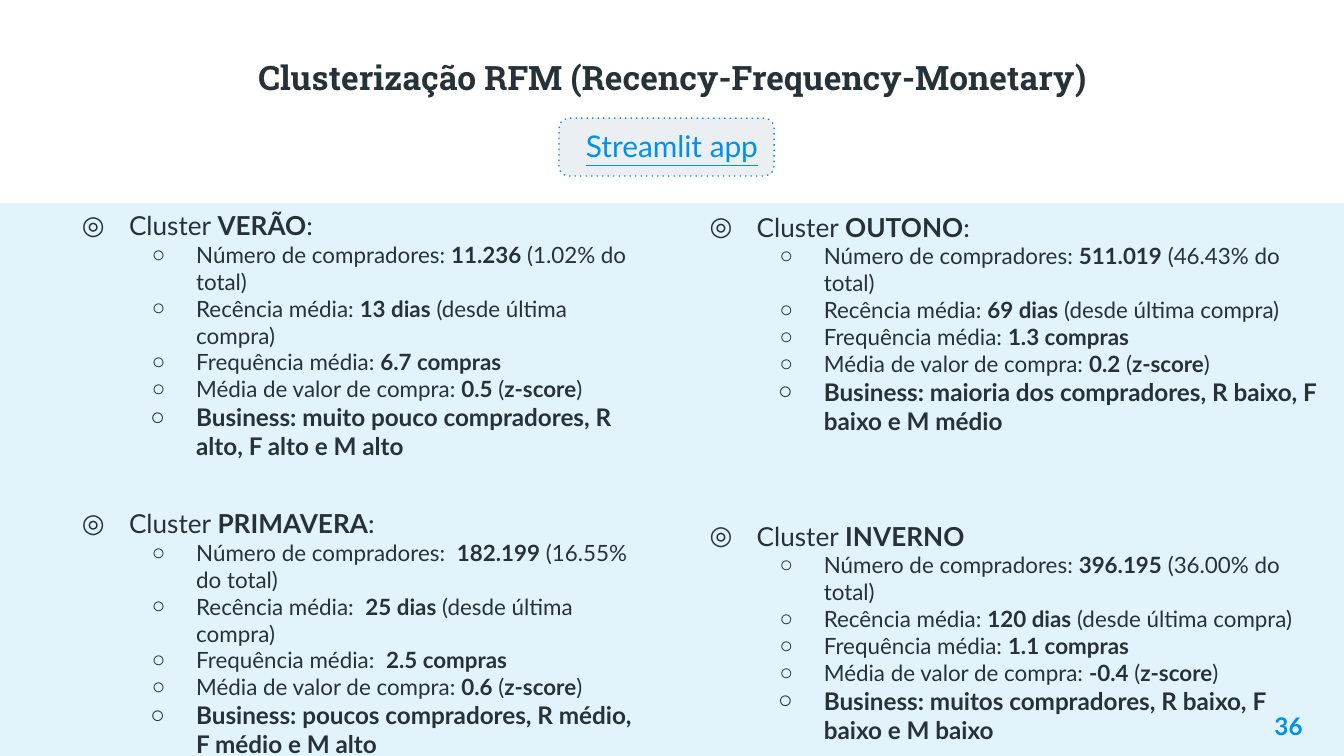
from dataclasses import dataclass

from lxml import etree
from pptx import Presentation
from pptx import util as u
from pptx.dml import color
from pptx.enum import dml, shapes, text
from pptx.oxml import ns


@dataclass(frozen=True)
class Theme:
    ink: str = "263238"
    accent: str = "0091EA"
    band: str = "ACDBF8"
    button: str = "ECEFF1"
    heading_font: str = "Roboto Slab"
    body_font: str = "Lato"
    title_size: float = 18
    button_size: float = 16
    cluster_size: float = 14
    business_size: float = 13
    detail_size: float = 12
    number_size: float = 13


THEME = Theme()
TWO_CONTENT = 3
LEFT_CLUSTERS = [
    ("Cluster **VERÃO**:", [
        "Número de compradores: **11.236** (1.02% do total)",
        "Recência média: **13 dias** (desde última compra)",
        "Frequência média: **6.7 compras**",
        "Média de valor de compra: **0.5** (**z-score**)",
    ], "Business: muito pouco compradores, R alto, F alto e M alto"),
    ("Cluster **PRIMAVERA**:", [
        "Número de compradores:  **182.199** (16.55% do total)",
        "Recência média:  **25 dias** (desde última compra)",
        "Frequência média:  **2.5 compras**",
        "Média de valor de compra: **0.6** (**z-score**)",
    ], "Business: poucos compradores, R médio, F médio e M alto"),
]
RIGHT_CLUSTERS = [
    ("Cluster **OUTONO**:", [
        "Número de compradores: **511.019** (46.43% do total)",
        "Recência média: **69 dias** (desde última compra)",
        "Frequência média: **1.3 compras**",
        "Média de valor de compra: **0.2** (**z-score**)",
    ], "Business: maioria dos compradores, R baixo, F baixo e M médio"),
    ("Cluster **INVERNO**", [
        "Número de compradores: **396.195** (36.00% do total)",
        "Recência média: **120 dias** (desde última compra)",
        "Frequência média: **1.1 compras**",
        "Média de valor de compra: **-0.4** (**z-score**)",
    ], "Business: muitos compradores, R baixo, F baixo e M baixo"),
]


def rgb(value):
    return color.RGBColor.from_string(value)


def place(shape, box):
    shape.left, shape.top, shape.width, shape.height = map(u.Inches, box)


def set_frame(shape, inset=0.05, anchor=text.MSO_ANCHOR.TOP):
    frame = shape.text_frame
    frame.word_wrap = True
    frame.auto_size = text.MSO_AUTO_SIZE.NONE
    frame.vertical_anchor = anchor
    frame.margin_left = frame.margin_right = u.Inches(0.1)
    frame.margin_top = frame.margin_bottom = u.Inches(inset)
    return frame


def write(para, content, size, ink=THEME.ink, font=THEME.body_font,
          align=text.PP_ALIGN.LEFT, before=0, underline=None):
    para.alignment = align
    para.space_before = u.Pt(before)
    for index, part in enumerate(content.split("**")):
        if not part:
            continue
        span = para.add_run()
        span.text = part
        span.font.name = font
        span.font.size = u.Pt(size)
        span.font.bold = index % 2 == 1
        span.font.underline = underline
        span.font.color.rgb = rgb(ink)


def add_bullet(para, symbol, margin, hang):
    props = para._p.get_or_add_pPr()
    props.set("marL", str(u.Inches(margin)))
    props.set("indent", str(-u.Inches(hang)))
    tint = etree.SubElement(props, ns.qn("a:buClr"))
    etree.SubElement(tint, ns.qn("a:srgbClr"), val=THEME.ink)
    etree.SubElement(props, ns.qn("a:buChar"), char=symbol)


def add_panel(page, kind, box, fill):
    panel = page.shapes.add_shape(kind, *map(u.Inches, box))
    panel.shadow.inherit = False
    panel.fill.solid()
    panel.fill.fore_color.rgb = rgb(fill)
    panel.line.fill.background()
    return panel


def add_title(page, box):
    title = page.shapes.title
    place(title, box)
    frame = set_frame(title, anchor=text.MSO_ANCHOR.BOTTOM)
    write(frame.paragraphs[0], "**Clusterização RFM (Recency-Frequency-Monetary)**",
          THEME.title_size, font=THEME.heading_font, align=text.PP_ALIGN.CENTER)


def add_band(page, box):
    band = add_panel(page, shapes.MSO_SHAPE.RECTANGLE, box, THEME.band)
    tint = band.element.find(".//" + ns.qn("a:srgbClr"))
    etree.SubElement(tint, ns.qn("a:alpha"), val="33000")
    page.shapes.title.element.addprevious(band.element)


def add_label(page, box, content, size, **style):
    label = page.shapes.add_textbox(*map(u.Inches, box))
    frame = set_frame(label, inset=0.1)
    write(frame.paragraphs[0], content, size, ink=THEME.accent, **style)


def add_button(page, box):
    left, top, width, height = box
    button = add_panel(page, shapes.MSO_SHAPE.ROUNDED_RECTANGLE, box, THEME.button)
    button.adjustments[0] = 0.17
    button.line.color.rgb = rgb(THEME.accent)
    button.line.width = u.Pt(0.75)
    button.line.dash_style = dml.MSO_LINE.ROUND_DOT
    button.element.find(".//" + ns.qn("a:prstDash")).set("val", "dot")
    add_label(page, (left - 0.07, top - 0.03, width + 0.22, height + 0.04), "Streamlit app",
              THEME.button_size, align=text.PP_ALIGN.CENTER, underline=True)


def add_clusters(holder, box, clusters, gap):
    place(holder, box)
    frame = set_frame(holder)
    para = frame.paragraphs[0]
    for index, (name, details, business) in enumerate(clusters):
        if index:
            para = frame.add_paragraph()
        add_bullet(para, "◎", 0.5, 0.35)
        write(para, name, THEME.cluster_size, before=gap if index else 0)
        rows = [(detail, THEME.detail_size, 0.33) for detail in details]
        rows.append((f"**{business}**", THEME.business_size, 0.34))
        for content, size, hang in rows:
            para = frame.add_paragraph()
            para.level = 1
            add_bullet(para, "○", 1, hang)
            write(para, content, size)


def main():
    deck = Presentation()
    deck.slide_width = u.Inches(10)
    deck.slide_height = deck.slide_width * 9 // 16
    page = deck.slides.add_slide(deck.slide_layouts[TWO_CONTENT])
    add_title(page, (0.88, 0.34, 8.25, 0.43))
    add_band(page, (0, 1.51, 10, 4.16))
    add_button(page, (4.16, 0.88, 1.6, 0.43))
    left_holder, right_holder = list(page.placeholders)[1:]
    add_clusters(left_holder, (0.36, 1.51, 4.57, 4.11), LEFT_CLUSTERS, gap=25.2)
    add_clusters(right_holder, (5.03, 1.52, 4.95, 4.11), RIGHT_CLUSTERS, gap=45.6)
    add_label(page, (9.19, 5.19, 0.6, 0.43), "**36**", THEME.number_size,
              align=text.PP_ALIGN.RIGHT)
    deck.save("out.pptx")


if __name__ == "__main__":
    main()
